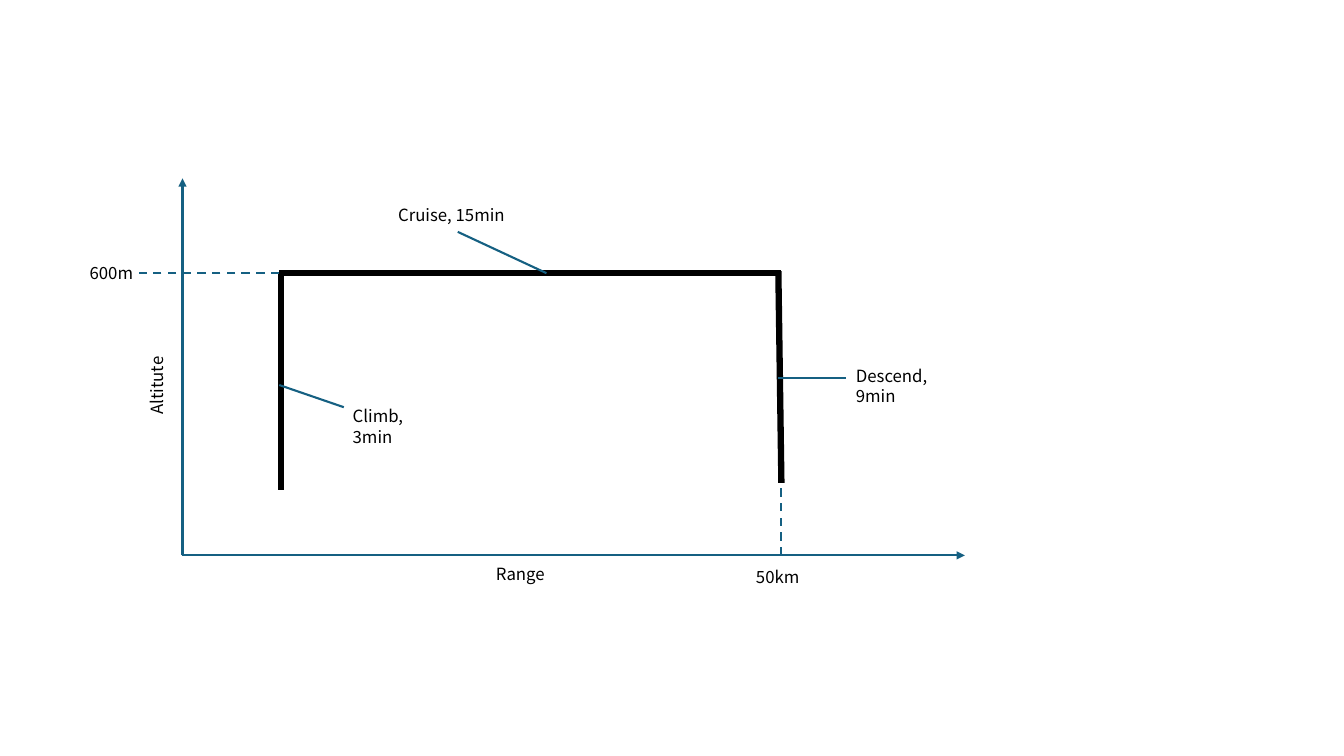
"""Draw a flight mission profile: altitude against range."""
from dataclasses import dataclass

from lxml import etree
from pptx import Presentation
from pptx.dml.color import RGBColor
from pptx.enum import dml
from pptx.oxml import ns
from pptx.slide import Slide
from pptx.util import Inches, Pt


@dataclass(frozen=True)
class Theme:
    ink: str = "000000"
    accent: str = "156082"
    font: str = "Noto Sans CJK KR"
    label_size: float = 12
    path_width: float = 4.5
    thin_width: float = 1.5


@dataclass(frozen=True)
class Line:
    x1: float
    y1: float
    x2: float
    y2: float
    heavy: bool = False
    dashed: bool = False
    arrow: bool = False


@dataclass(frozen=True)
class Label:
    text: str
    left: float
    top: float
    width: float
    height: float = 0.3
    wrap: bool = False
    vertical: bool = False
    rotation: float = 0


THEME = Theme()
ORIGIN_X, ORIGIN_Y = 1.81, 5.51
CLIMB_X, CRUISE_Y = 2.79, 2.71
CRUISE_START, CRUISE_END = 2.77, 7.75
DESCENT_X, DESCENT_Y = 7.72, 4.79

FLIGHT = [
    Line(CLIMB_X, 4.86, CLIMB_X, CRUISE_Y, heavy=True),
    Line(CRUISE_START, CRUISE_Y, CRUISE_END, CRUISE_Y, heavy=True),
    Line(DESCENT_X, 2.69, CRUISE_END, DESCENT_Y, heavy=True),
]
LEADERS = [
    Line(CRUISE_START, 3.82, 3.41, 4.04),
    Line(DESCENT_X, 3.75, 8.39, 3.75),
    Line(4.54, 2.3, 5.42, CRUISE_Y),
]
GUIDES = [
    Line(CRUISE_START, CRUISE_Y, 1.38, CRUISE_Y, dashed=True),
    Line(CRUISE_END, ORIGIN_Y, CRUISE_END, DESCENT_Y, dashed=True),
]
AXES = [
    Line(ORIGIN_X, ORIGIN_Y, ORIGIN_X, 1.77, arrow=True),
    Line(ORIGIN_X, ORIGIN_Y, 9.57, ORIGIN_Y, arrow=True),
]
LABELS = [
    Label("Climb, 3min", 3.4, 3.98, 1.1, wrap=True),
    Label("Descend, 9min", 8.39, 3.58, 1.3, wrap=True),
    Label("Cruise, 15min", 3.85, 1.98, 1.26),
    Label("600m", 0.79, 2.56, 0.65),
    Label("50km", 7.4, 5.57, 0.63),
    Label("Altitute", 1.41, 3.57, 0.4, 0.64, vertical=True, rotation=180),
    Label("Range", 4.91, 5.45, 0.4, 0.58, vertical=True, rotation=270),
]


def draw_line(slide: Slide, line: Line) -> None:
    """Draw one connector with its weight, dash and arrowhead."""
    ends = (Inches(v) for v in (line.x1, line.y1, line.x2, line.y2))
    sp = slide.shapes.add_connector(1, *ends)
    color = THEME.ink if line.heavy else THEME.accent
    sp.line.color.rgb = RGBColor.from_string(color)
    sp.line.width = Pt(THEME.path_width if line.heavy else THEME.thin_width)
    if line.dashed:
        sp.line.dash_style = dml.MSO_LINE.DASH
    if line.arrow:
        ln = sp.line._get_or_add_ln()
        etree.SubElement(ln, ns.qn("a:tailEnd"), type="triangle")
    etree.SubElement(sp._element.spPr, ns.qn("a:effectLst"))


def draw_label(slide: Slide, label: Label) -> None:
    """Draw one text label, turned upright where asked."""
    box = (label.left, label.top, label.width, label.height)
    sp = slide.shapes.add_textbox(*(Inches(v) for v in box))
    sp.rotation = label.rotation
    tf = sp.text_frame
    tf.text = label.text
    tf.word_wrap = label.wrap
    if label.vertical:
        tf._txBody.bodyPr.set("vert", "eaVert")
    font = tf.paragraphs[0].runs[0].font
    font.name = THEME.font
    font.size = Pt(THEME.label_size)
    font.color.rgb = RGBColor.from_string(THEME.ink)
    r_pr = tf.paragraphs[0].runs[0]._r.get_or_add_rPr()
    etree.SubElement(r_pr, ns.qn("a:ea"), typeface=THEME.font)


def main() -> None:
    """Build and save the slide."""
    prs = Presentation()
    prs.slide_width, prs.slide_height = Inches(13.33), Inches(7.5)
    slide = prs.slides.add_slide(prs.slide_layouts[6])
    for line in FLIGHT + LEADERS + GUIDES + AXES:
        draw_line(slide, line)
    for label in LABELS:
        draw_label(slide, label)
    prs.save("out.pptx")


if __name__ == "__main__":
    main()
